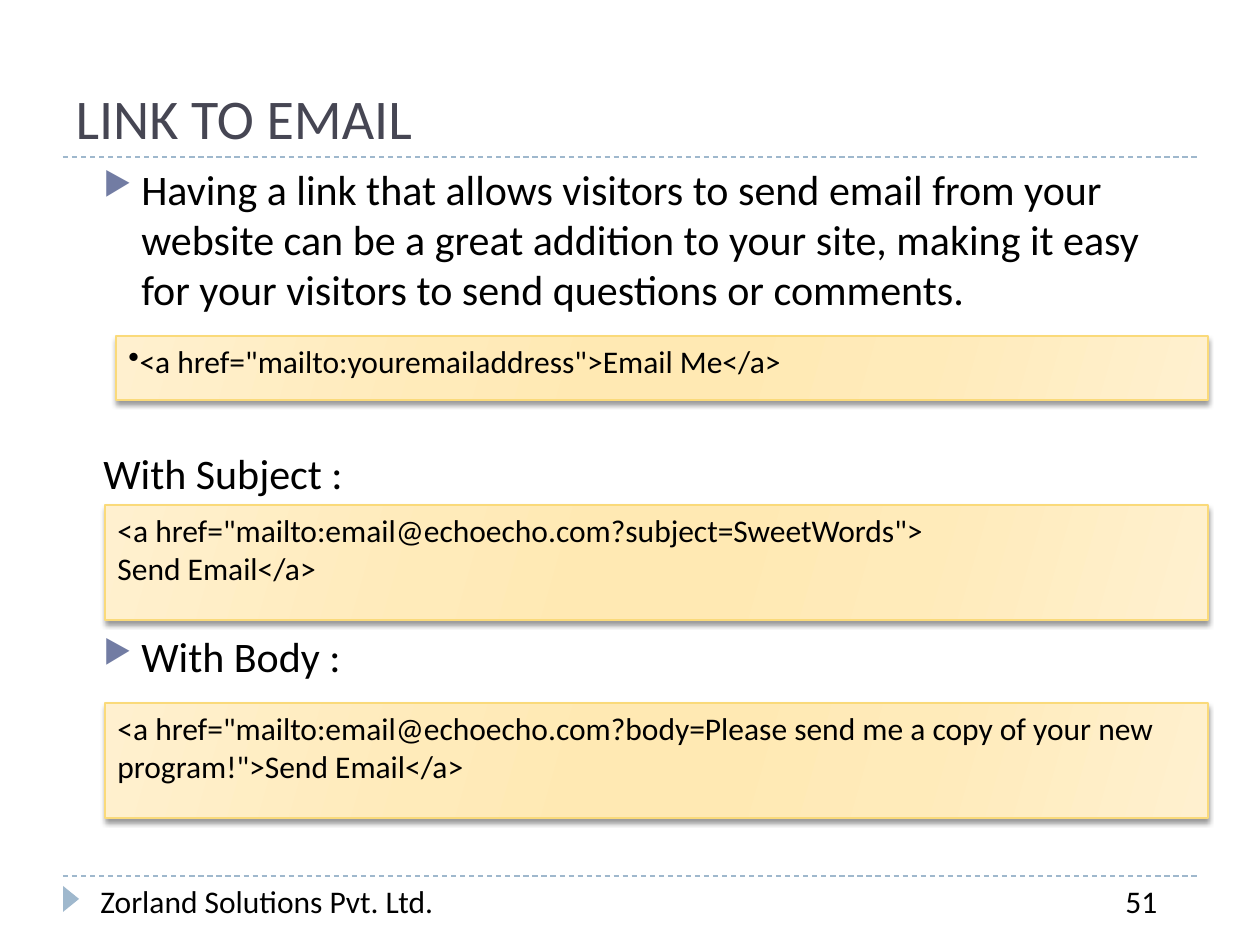
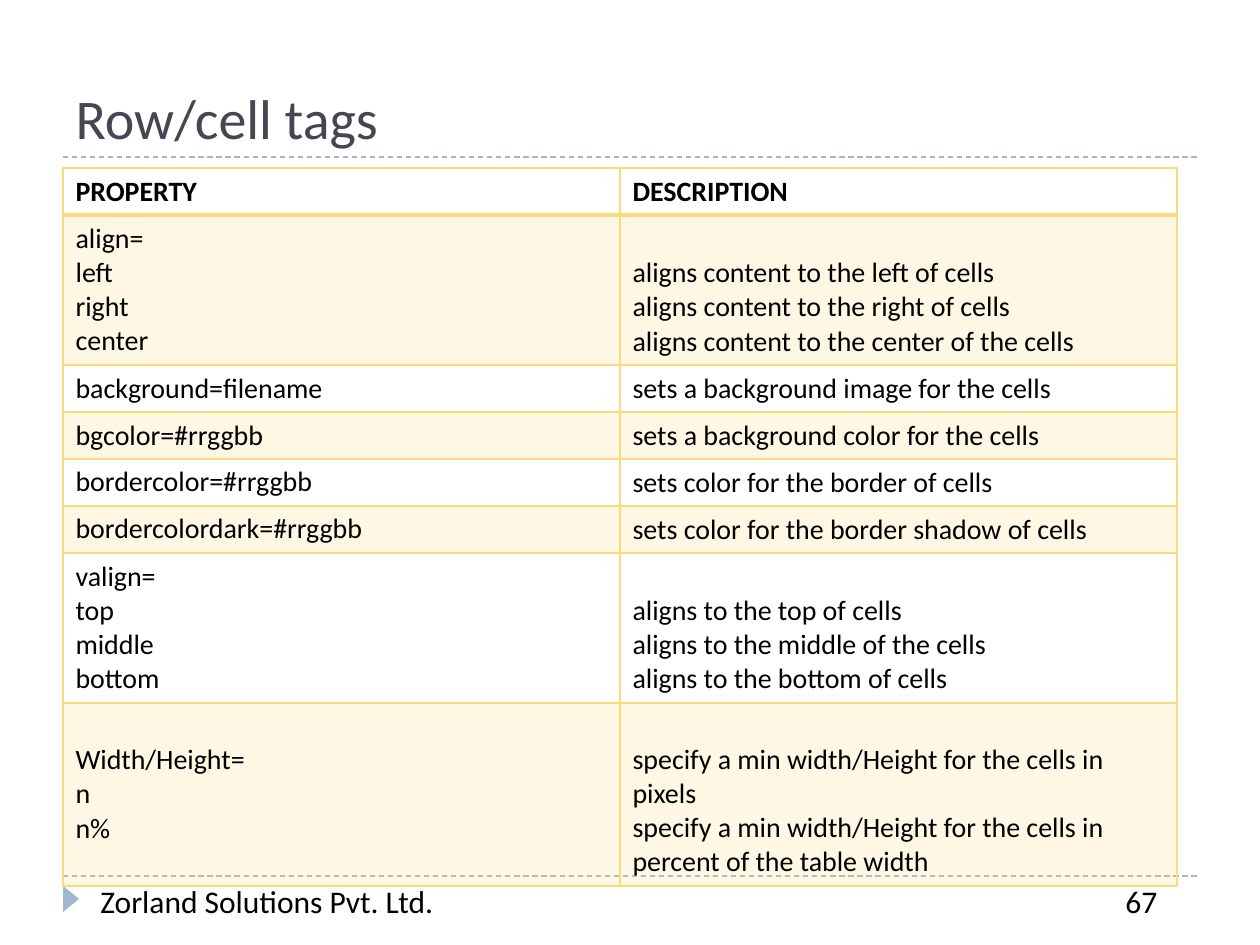
from lxml import etree
from pptx import Presentation
from pptx.dml.color import RGBColor
from pptx.enum.dml import MSO_LINE
from pptx.enum.shapes import MSO_CONNECTOR, MSO_SHAPE
from pptx.enum.text import MSO_ANCHOR, PP_ALIGN
from pptx.oxml import parse_xml
from pptx.oxml.ns import qn
from pptx.util import Inches, Pt

PX = Inches(1) // 126
FONT = "Calibri"
BLACK, TITLE, RULE, BULLET, GOLD = "000000", "464653", "9FB8CD", "727CA3", "FADA7A"
BOX_STOPS = {0: "FFF0CF", 30: "FFEBBA", 45: "FFE9B3", 55: "FFE9B3", 73: "FFEBBA", 100: "FFF0CF"}
FOOTER = "Zorland Solutions Pvt. Ltd."
NS = 'xmlns:a="http://schemas.openxmlformats.org/drawingml/2006/main"'

rgb = RGBColor.from_string


def write(tf, text, size, color=BLACK, bold=False):
    """Fill a text frame, one paragraph per line, in the deck's font."""
    tf.word_wrap = True
    tf.text = text
    for p in tf.paragraphs:
        p.alignment = PP_ALIGN.LEFT
        for r in p.runs:
            for name, value in {"name": FONT, "size": Pt(size), "bold": bold}.items():
                setattr(r.font, name, value)
            r.font.color.rgb = rgb(color)


def add_bullet(p, char, color, percent, indent):
    pPr = p._p.get_or_add_pPr()
    pPr.set("marL", str(indent * PX))
    pPr.set("indent", str(-indent * PX))
    for xml in (f'<a:buClr {NS}><a:srgbClr val="{color}"/></a:buClr>',
                f'<a:buSzPct {NS} val="{percent}000"/>',
                f'<a:buChar {NS} char="{char}"/>'):
        pPr.append(parse_xml(xml))


prs = Presentation()
prs.slide_width, prs.slide_height = Inches(10), Inches(7.5)

# Title, rules and footer of every slide
slides = []
for title, number in (("LINK TO EMAIL", "51"), ("Row/cell tags", "67")):
    s = prs.slides.add_slide(prs.slide_layouts[5])
    slides.append(s)

    sp = s.shapes.title
    sp.left, sp.top, sp.width, sp.height = (v * PX for v in (63, 21, 1134, 136))
    write(sp.text_frame, title, 32, TITLE)
    sp.text_frame.vertical_anchor = MSO_ANCHOR.BOTTOM

    for y in (876, 157):
        rule = s.shapes.add_connector(MSO_CONNECTOR.STRAIGHT, 63 * PX, y * PX, 1197 * PX, y * PX)
        rule.line.color.rgb = rgb(RULE)
        rule.line.width = Pt(0.75)
        rule.line.dash_style = MSO_LINE.DASH
        etree.SubElement(rule._element.spPr, qn("a:effectLst"))

    marker = s.shapes.add_shape(MSO_SHAPE.ISOSCELES_TRIANGLE, *(v * PX for v in (58, 891, 26, 16)))
    marker.rotation = 90
    marker.shadow.inherit = False
    marker.fill.solid()
    marker.fill.fore_color.rgb = rgb(RULE)
    marker.line.fill.background()

    for text, x, width in ((FOOTER, 88, 479), (number, 1113, 84)):
        sp = s.shapes.add_textbox(x * PX, 876 * PX, width * PX, 50 * PX)
        write(sp.text_frame, text, 18)

email_slide, table_slide = slides

# Email slide: body text, with code boxes in the gaps
body = email_slide.shapes.add_textbox(*(v * PX for v in (91, 157, 1113, 540))).text_frame
write(body, "Having a link that allows visitors to send email from your website can be a great "
            "addition to your site, making it easy for your visitors to send questions or comments."
            "\nWith Subject :\nWith Body :", 24)
intro, with_subject, with_body = body.paragraphs
for p in (with_subject, with_body):
    p.space_before = Pt(76)
for p in (intro, with_body):
    add_bullet(p, "▶", BULLET, 76, 38)

code_boxes = [
    (116, 336, 1092, 64, '<a href="mailto:youremailaddress">Email Me</a>'),
    (105, 505, 1103, 115,
     '<a href="mailto:email@echoecho.com?subject=SweetWords">\nSend Email</a>'),
    (105, 703, 1103, 115,
     '<a href="mailto:email@echoecho.com?body=Please send me a copy of your new program!">'
     'Send Email</a>'),
]
for i, (x, y, w, h, code) in enumerate(code_boxes):
    box = email_slide.shapes.add_shape(MSO_SHAPE.RECTANGLE, x * PX, y * PX, w * PX, h * PX)
    box.line.color.rgb = rgb(GOLD)
    box.line.width = Pt(0.75)
    box.fill.gradient()
    box.fill.gradient_angle = 344
    spPr = box._element.spPr
    stops = spPr.find(".//" + qn("a:gsLst"))
    for stop in list(stops):
        stops.remove(stop)
    for position, color in BOX_STOPS.items():
        stops.append(parse_xml(f'<a:gs {NS} pos="{position}000"><a:srgbClr val="{color}"/></a:gs>'))
    box.shadow.inherit = False
    spPr.find(qn("a:effectLst")).append(parse_xml(
        f'<a:outerShdw {NS} blurRad="{Pt(3)}" dist="{Pt(2)}" dir="5400000" rotWithShape="0">'
        f'<a:srgbClr val="{BLACK}"><a:alpha val="40000"/></a:srgbClr></a:outerShdw>'))
    write(box.text_frame, code, 18)
    box.text_frame.vertical_anchor = MSO_ANCHOR.TOP
    if i == 0:
        add_bullet(box.text_frame.paragraphs[0], "•", BLACK, 100, 0)

# Table slide: properties and what they do
rows = [
    ("PROPERTY", "DESCRIPTION"),
    ("align=\nleft\nright\ncenter",
     "aligns content to the left of cells\naligns content to the right of cells\n"
     "aligns content to the center of the cells"),
    ("background=filename", "sets a background image for the cells"),
    ("bgcolor=#rrggbb", "sets a background color for the cells"),
    ("bordercolor=#rrggbb", "sets color for the border of cells"),
    ("bordercolordark=#rrggbb", "sets color for the border shadow of cells"),
    ("valign=\ntop\nmiddle\nbottom",
     "aligns to the top of cells\naligns to the middle of the cells\n"
     "aligns to the bottom of cells"),
    ("Width/Height=\nn\nn%",
     "specify a min width/Height for the cells in pixels\n"
     "specify a min width/Height for the cells in percent of the table width"),
]
heights = [47, 150, 47, 47, 47, 47, 150, 183]
table = table_slide.shapes.add_table(
    len(rows), 2, 63 * PX, 168 * PX, 1114 * PX, sum(heights) * PX).table
for column in table.columns:
    column.width = 557 * PX
for i, (row, height) in enumerate(zip(rows, heights)):
    table.rows[i].height = height * PX
    for j, text in enumerate(row):
        cell = table.cell(i, j)
        write(cell.text_frame, text, 16, bold=i == 0)
        # Descriptions sit low so that they line up with the values beside them
        cell.vertical_anchor = MSO_ANCHOR.BOTTOM if j else MSO_ANCHOR.MIDDLE
        tcPr = cell._tc.get_or_add_tcPr()
        for side in "LRTB":
            heavy = (side == "B" and i == 0) or (side == "T" and i == 1)
            tcPr.append(parse_xml(
                f'<a:ln{side} {NS} w="{Pt(2 if heavy else 1)}"><a:solidFill>'
                f'<a:srgbClr val="{GOLD}"/></a:solidFill></a:ln{side}>'))
        if i % 2:
            cell.fill.solid()
            cell.fill.fore_color.rgb = rgb(GOLD)
            tint = tcPr.find(qn("a:solidFill")).find(qn("a:srgbClr"))
            etree.SubElement(tint, qn("a:alpha")).set("val", "20000")
        else:
            cell.fill.background()

prs.save("out.pptx")
